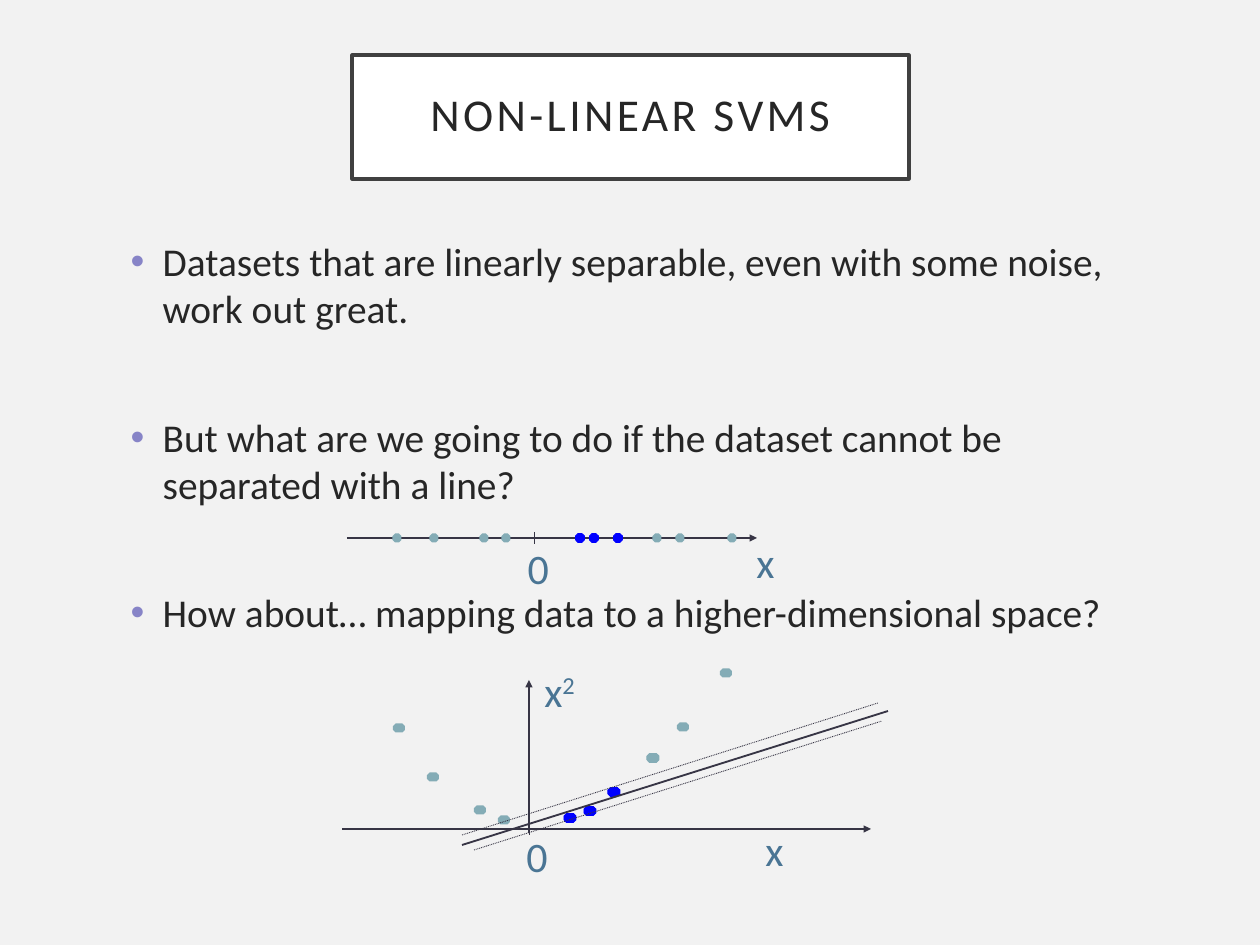
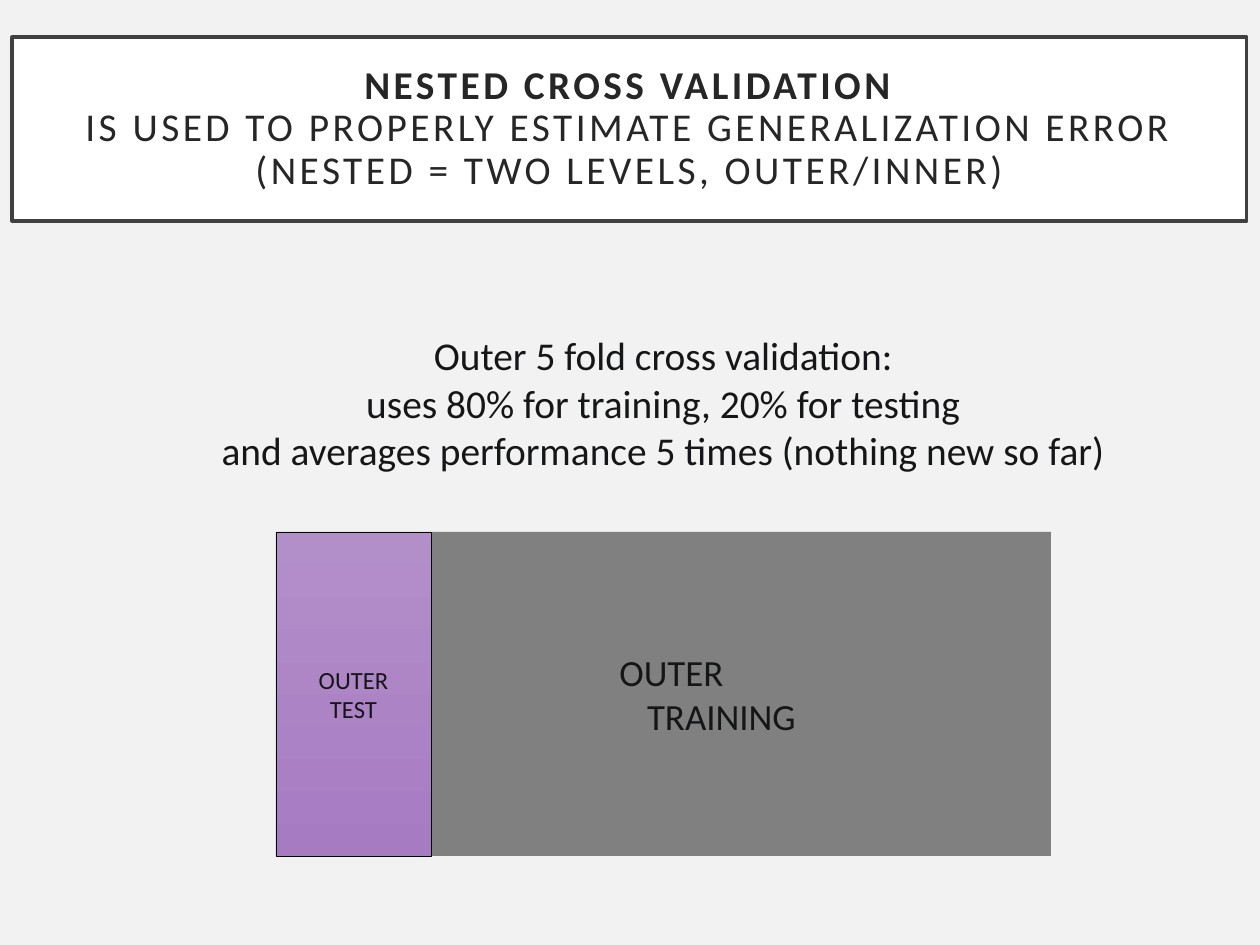
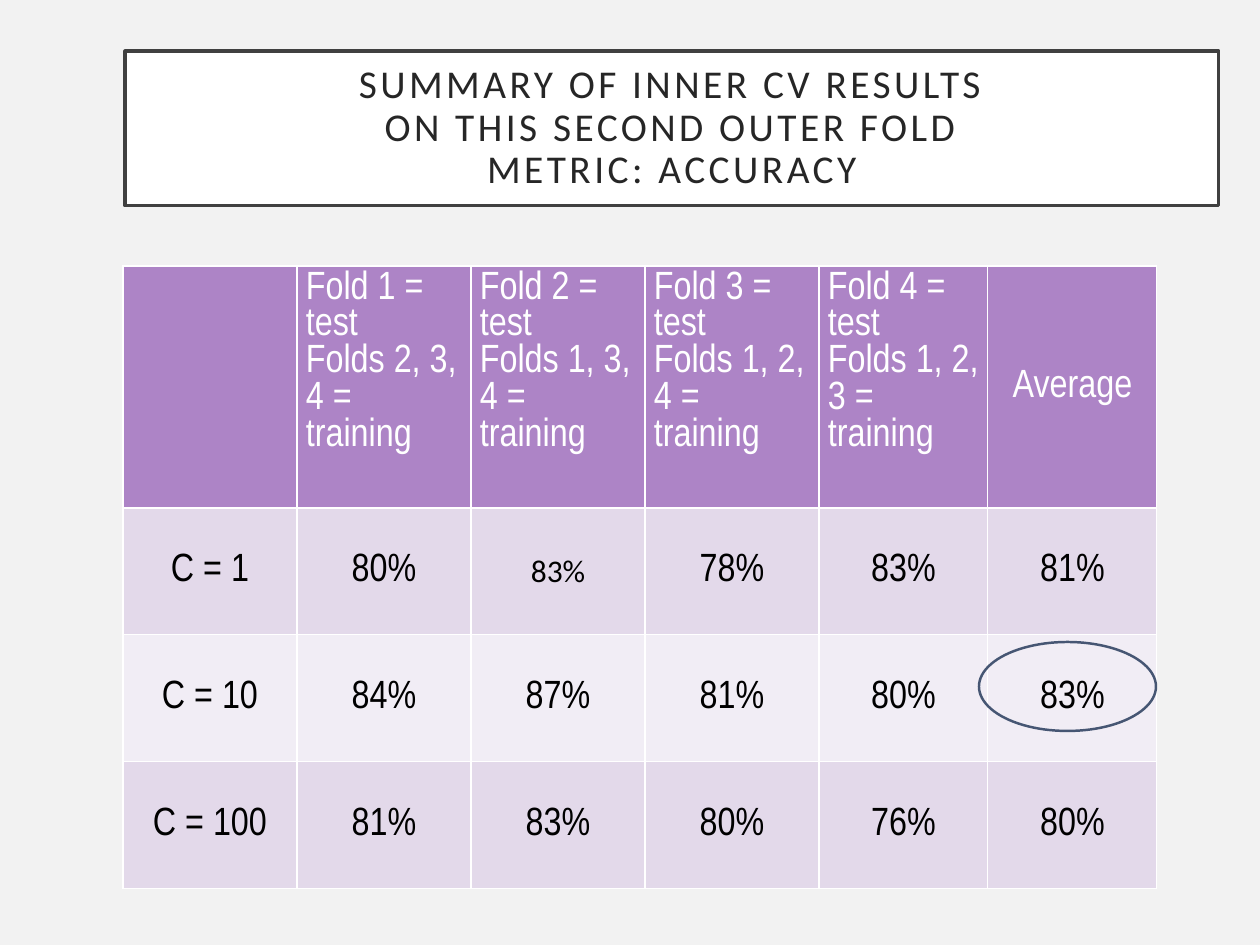
import lxml.etree
import pptx
import pptx.dml.color
import pptx.enum.dml
import pptx.enum.shapes
import pptx.enum.text
import pptx.oxml.ns
import pptx.util

PX = 10320
SLIDE_WIDTH, SLIDE_HEIGHT = 1260, 945
BODY_FONT = "Calibri"
TABLE_FONT = "Arial Narrow"
COLORS = {
    "background": "F2F2F2",
    "white": "FFFFFF",
    "black": "000000",
    "title_border": "404040",
    "title_text": "262626",
    "bullet": "8784C7",
    "axis": "373545",
    "axis_label": "4A7594",
    "outer_class": "84ACB6",
    "inner_class": "0000FF",
    "block_text": "151618",
    "training": "808080",
    "test_top": "B38FCA",
    "test_bottom": "A77BC2",
    "header": "AD84C6",
    "band_dark": "E3D9EA",
    "band_light": "F1EDF5",
    "highlight": "465673",
}
SHAPE = pptx.enum.shapes.MSO_SHAPE
ALIGN = pptx.enum.text.PP_ALIGN
ANCHOR = pptx.enum.text.MSO_ANCHOR


def px(*lengths):
    """Turn pixel lengths into EMU."""
    return [round(length * PX) for length in lengths]


def rgb(name):
    """Look up a colour of the palette."""
    return pptx.dml.color.RGBColor.from_string(COLORS[name])


def add_xml(parent, tag, **attributes):
    """Append a drawing element to a parent."""
    return lxml.etree.SubElement(parent, pptx.oxml.ns.qn(tag), attributes)


def set_font(paragraph, size, color, name=BODY_FONT):
    """Set the font shared by the runs of a paragraph."""
    paragraph.font.name = name
    paragraph.font.size = pptx.util.Pt(size)
    paragraph.font.color.rgb = rgb(color)


def set_border(shape, color, width):
    """Give a shape or connector a solid line."""
    shape.line.color.rgb = rgb(color)
    shape.line.width = pptx.util.Pt(width)


def write_lines(frame, text, size, color, align=ALIGN.CENTER):
    """Fill a text frame with equally formatted paragraphs."""
    frame.word_wrap = True
    frame.text = text
    for paragraph in frame.paragraphs:
        paragraph.alignment = align
        set_font(paragraph, size, color)


def add_text(slide, box, text, size, color, align=ALIGN.CENTER):
    """Place a wrapping text box and return its frame."""
    frame = slide.shapes.add_textbox(*px(*box)).text_frame
    write_lines(frame, text, size, color, align)
    return frame


def add_block(slide, kind, box, fill=None):
    """Place a flat preset shape without a line."""
    block = slide.shapes.add_shape(kind, *px(*box))
    block.shadow.inherit = False
    block.line.fill.background()
    if fill:
        block.fill.solid()
        block.fill.fore_color.rgb = rgb(fill)
    else:
        block.fill.background()
    return block


def add_line(slide, origin, ends, width, arrow=False, dotted=False):
    """Draw a straight line between two points relative to an origin."""
    left, top = origin
    x1, y1, x2, y2 = ends
    line = slide.shapes.add_connector(
        pptx.enum.shapes.MSO_CONNECTOR.STRAIGHT,
        *px(left + x1, top + y1, left + x2, top + y2))
    set_border(line, "axis", width)
    if dotted:
        line.line.dash_style = pptx.enum.dml.MSO_LINE.ROUND_DOT
    if arrow:
        add_xml(line.line._get_or_add_ln(), "a:tailEnd", type="triangle")
    add_xml(line._element.spPr, "a:effectLst")


def add_points(slide, origin, centers, size, color, outlined=False):
    """Draw data points around centres relative to an origin."""
    width, height = size
    for x, y in centers:
        box = (origin[0] + x - width / 2, origin[1] + y - height / 2, width, height)
        point = add_block(slide, SHAPE.OCTAGON, box, color)
        if outlined:
            set_border(point, color, 0.75)


def add_axis_label(slide, origin, box, text):
    """Place an axis label relative to an origin."""
    left, top, width, height = box
    box = (origin[0] + left, origin[1] + top, width, height)
    return add_text(slide, box, text, 34.1, "axis_label")


def add_titled_slide(deck, box, text, size):
    """Add a slide with the framed title and return both."""
    slide = deck.slides.add_slide(deck.slide_layouts[5])
    title = slide.shapes.title
    title.left, title.top, title.width, title.height = px(*box)
    title.fill.solid()
    title.fill.fore_color.rgb = rgb("white")
    set_border(title, "title_border", 2.5)
    frame = title.text_frame
    write_lines(frame, text, size, "title_text")
    frame.auto_size = pptx.enum.text.MSO_AUTO_SIZE.NONE
    frame.vertical_anchor = ANCHOR.MIDDLE
    frame.margin_left = frame.margin_right = px(18)[0]
    frame.margin_top = frame.margin_bottom = px(18)[0]
    heading = frame.paragraphs[0]
    heading.line_spacing = 0.9
    heading._p.pPr.find(pptx.oxml.ns.qn("a:defRPr")).set("spc", "280")
    return slide, heading


def add_bullets(slide, box, points):
    """List bulleted points in a box."""
    frame = slide.shapes.add_textbox(*px(*box)).text_frame
    frame.word_wrap = True
    frame.text = "\n".join(points)
    indent = px(32)[0]
    for index, paragraph in enumerate(frame.paragraphs):
        properties = paragraph._p.get_or_add_pPr()
        properties.set("marL", str(indent))
        properties.set("indent", str(-indent))
        add_xml(add_xml(properties, "a:buClr"), "a:srgbClr", val=COLORS["bullet"])
        add_xml(properties, "a:buFont", typeface="Arial")
        add_xml(properties, "a:buChar", char="•")
        if index:
            paragraph.space_before = pptx.util.Pt(65.8)
        set_font(paragraph, 32, "title_text")


def add_number_line(slide, origin):
    """Draw the one-dimensional data set."""
    add_line(slide, origin, (0, 6, 410, 6), 2, arrow=True)
    add_line(slide, origin, (187, 0, 187, 12), 0.75)
    outer = [(x, 6) for x in (50, 87, 137, 159, 310, 333, 385)]
    inner = [(x, 6) for x in (233, 247, 271)]
    add_points(slide, origin, outer, (9, 9), "outer_class")
    add_points(slide, origin, inner, (9, 9), "inner_class", outlined=True)
    add_axis_label(slide, origin, (172, 6, 35, 60), "0")
    add_axis_label(slide, origin, (395, 0, 47, 60), "x")


def add_mapped_plot(slide, origin):
    """Draw the data mapped to two dimensions with its separator."""
    add_line(slide, origin, (0, 168, 529, 168), 2, arrow=True)
    add_line(slide, origin, (187, 162, 187, 174), 0.75)
    add_line(slide, origin, (187, 172, 187, 19), 2, arrow=True)
    outer = [(57, 67), (91, 116), (138, 149), (162, 159), (341, 66), (384, 12)]
    inner = [(228, 157), (248, 150), (272, 131)]
    add_points(slide, origin, outer, (12, 9), "outer_class")
    add_points(slide, origin, [(311, 97)], (12, 9), "outer_class", outlined=True)
    add_points(slide, origin, inner, (12, 9), "inner_class", outlined=True)
    add_axis_label(slide, origin, (172, 165, 46, 60), "0")
    add_axis_label(slide, origin, (402, 159, 61, 60), "x")
    square = add_axis_label(slide, origin, (187, 0, 61, 60), "x")
    exponent = square.paragraphs[0].add_run()
    exponent.text = "2"
    exponent._r.get_or_add_rPr().set("baseline", "30000")
    add_line(slide, origin, (120, 184, 546, 50), 1.5)
    for margin in ((120, 174, 536, 42), (132, 189, 540, 60)):
        add_line(slide, origin, margin, 0.75, dotted=True)


def add_outer_split(slide, box):
    """Show the outer test fifth beside the training data."""
    left, top, width, height = box
    training = add_block(slide, SHAPE.RECTANGLE, box, "training")
    write_lines(training.text_frame, "OUTER\nTRAINING", 30, "block_text")
    for paragraph, shift in zip(training.text_frame.paragraphs, (16, 116)):
        paragraph._p.pPr.set("marL", str(px(shift)[0]))
    test = add_block(slide, SHAPE.RECTANGLE, (left, top, width / 5, height))
    test.fill.gradient()
    test.fill.gradient_angle = 270
    for stop, color in zip(test.fill.gradient_stops, ("test_top", "test_bottom")):
        stop.color.rgb = rgb(color)
    set_border(test, "black", 0.5)
    write_lines(test.text_frame, "OUTER\nTEST", 20, "block_text")


def style_cell(cell, fill):
    """Fill a cell and give it thin white borders."""
    cell.fill.solid()
    cell.fill.fore_color.rgb = rgb(fill)
    properties = cell._tc.get_or_add_tcPr()
    for index, side in enumerate(("a:lnL", "a:lnR", "a:lnT", "a:lnB")):
        border = add_xml(properties, side, w="12700")
        add_xml(add_xml(border, "a:solidFill"), "a:srgbClr", val=COLORS["white"])
        properties.insert(index, border)


def add_results_table(slide, origin, rows):
    """Tabulate accuracies by C and fold."""
    widths = [174] * 4 + [169] * 2
    heights = [242] + [127] * 3
    box = (*origin, sum(widths), sum(heights))
    results = slide.shapes.add_table(len(rows), len(widths), *px(*box)).table
    results.first_row = results.horz_banding = False
    for column, width in zip(results.columns, widths):
        column.width = px(width)[0]
    for r, (height, texts) in enumerate(zip(heights, rows)):
        results.rows[r].height = px(height)[0]
        fill = "header" if r == 0 else ("band_light", "band_dark")[r % 2]
        for c, text in enumerate(texts):
            cell = results.cell(r, c)
            style_cell(cell, fill)
            if not text:
                continue
            is_fold = r == 0 and c < 5
            cell.vertical_anchor = ANCHOR.TOP if is_fold else ANCHOR.MIDDLE
            cell.text = text
            for paragraph in cell.text_frame.paragraphs:
                paragraph.alignment = ALIGN.LEFT if is_fold else ALIGN.CENTER
                set_font(paragraph, 32, "black" if r else "white", TABLE_FONT)
    set_font(results.cell(1, 2).text_frame.paragraphs[0], 25.6, "black")


def build_svm_slide(deck):
    """Build the slide on non-linear SVMs."""
    slide, _ = add_titled_slide(deck, (352, 55, 557, 124), "NON-LINEAR SVMS", 37)
    add_bullets(slide, (122, 233, 1002, 393), (
        "Datasets that are linearly separable, even with some noise, work out great.",
        "But what are we going to do if the dataset cannot be separated with a line?",
        "How about… mapping data to a higher-dimensional space?"))
    add_number_line(slide, (347, 532))
    add_mapped_plot(slide, (342, 661))


def build_nested_slide(deck):
    """Build the slide on nested cross validation."""
    slide, heading = add_titled_slide(
        deck, (12, 37, 1235, 184),
        "NESTED CROSS VALIDATION\v"
        "IS USED TO PROPERLY ESTIMATE GENERALIZATION ERROR\v"
        "(NESTED = TWO LEVELS, OUTER/INNER)", 32)
    heading.runs[0].font.bold = True
    add_outer_split(slide, (276, 532, 775, 324))
    add_text(slide, (206, 327, 915, 200),
             "Outer 5 fold cross validation:\n"
             "uses 80% for training, 20% for testing\n"
             "and averages performance 5 times (nothing new so far)",
             32, "block_text")


def build_summary_slide(deck):
    """Build the slide with the inner results."""
    slide, _ = add_titled_slide(
        deck, (125, 51, 1094, 155),
        "SUMMARY OF INNER CV RESULTS\vON THIS SECOND OUTER FOLD\vMETRIC: ACCURACY", 32)
    folds = range(1, 5)
    header = [""]
    for fold in folds:
        others = ", ".join(str(other) for other in folds if other != fold)
        header.append(f"Fold {fold} = test\nFolds {others} = training")
    accuracies = {
        1: (80, 83, 78, 83, 81),
        10: (84, 87, 81, 80, 83),
        100: (81, 83, 80, 76, 80),
    }
    rows = [header + ["Average"]]
    for cost, values in accuracies.items():
        rows.append([f"C = {cost}"] + [f"{value}%" for value in values])
    add_results_table(slide, (123, 266), rows)
    best = add_block(slide, SHAPE.OVAL, (979, 642, 177, 89))
    set_border(best, "highlight", 2)


def main():
    """Build and save the deck."""
    deck = pptx.Presentation()
    deck.slide_width, deck.slide_height = px(SLIDE_WIDTH, SLIDE_HEIGHT)
    backdrop = deck.slide_master.background.fill
    backdrop.solid()
    backdrop.fore_color.rgb = rgb("background")
    build_svm_slide(deck)
    build_nested_slide(deck)
    build_summary_slide(deck)
    deck.save("out.pptx")


if __name__ == "__main__":
    main()
